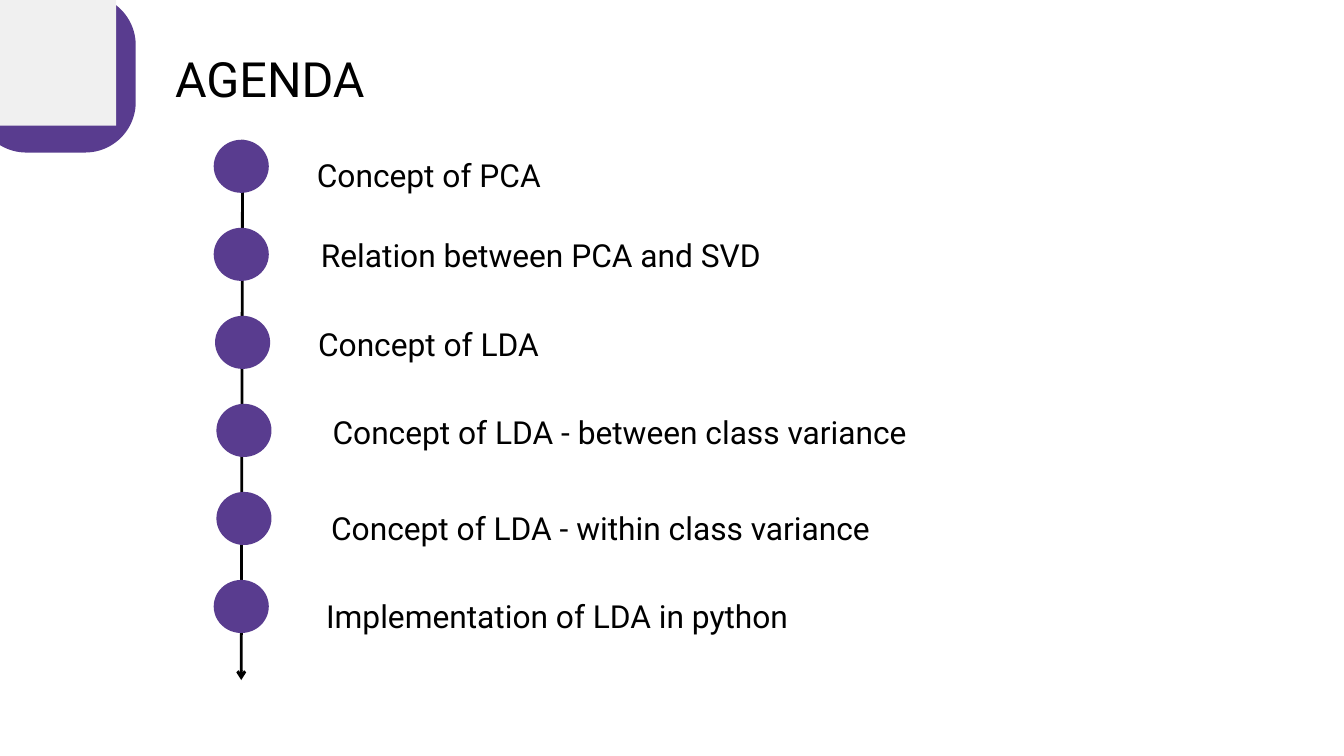
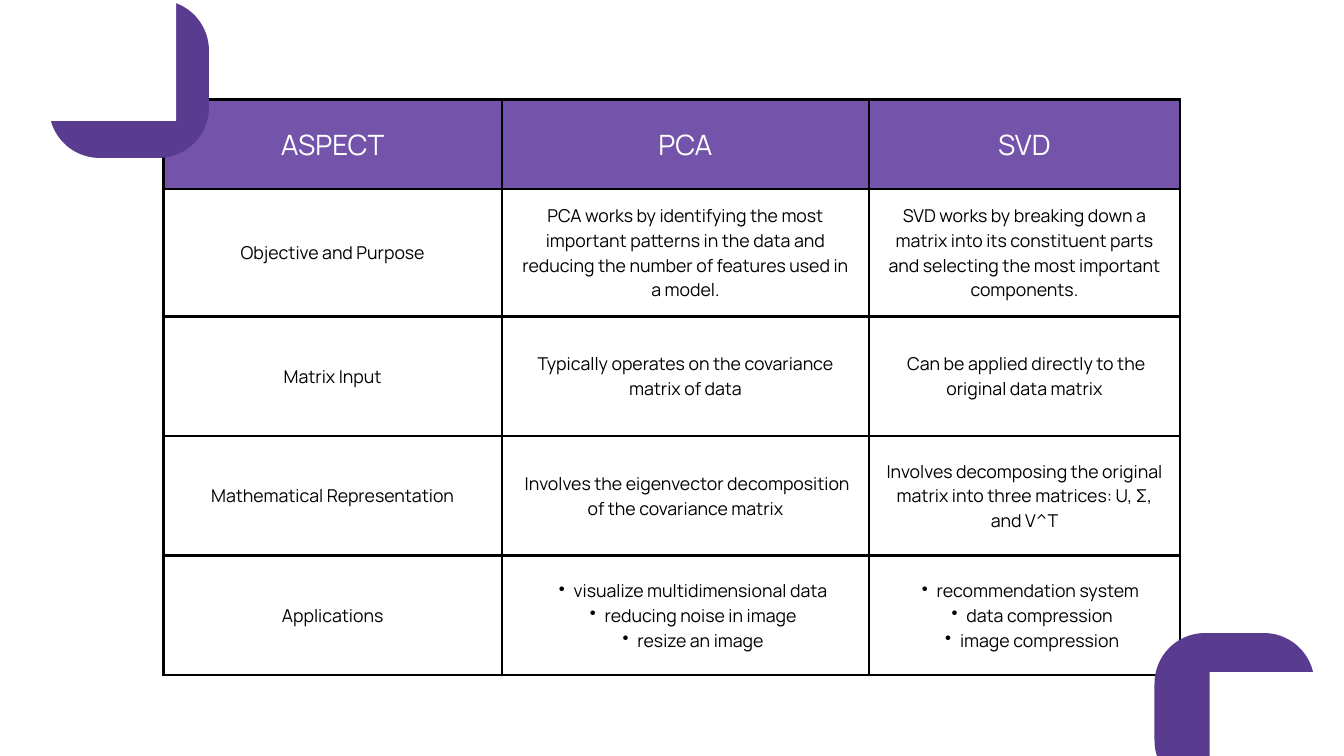
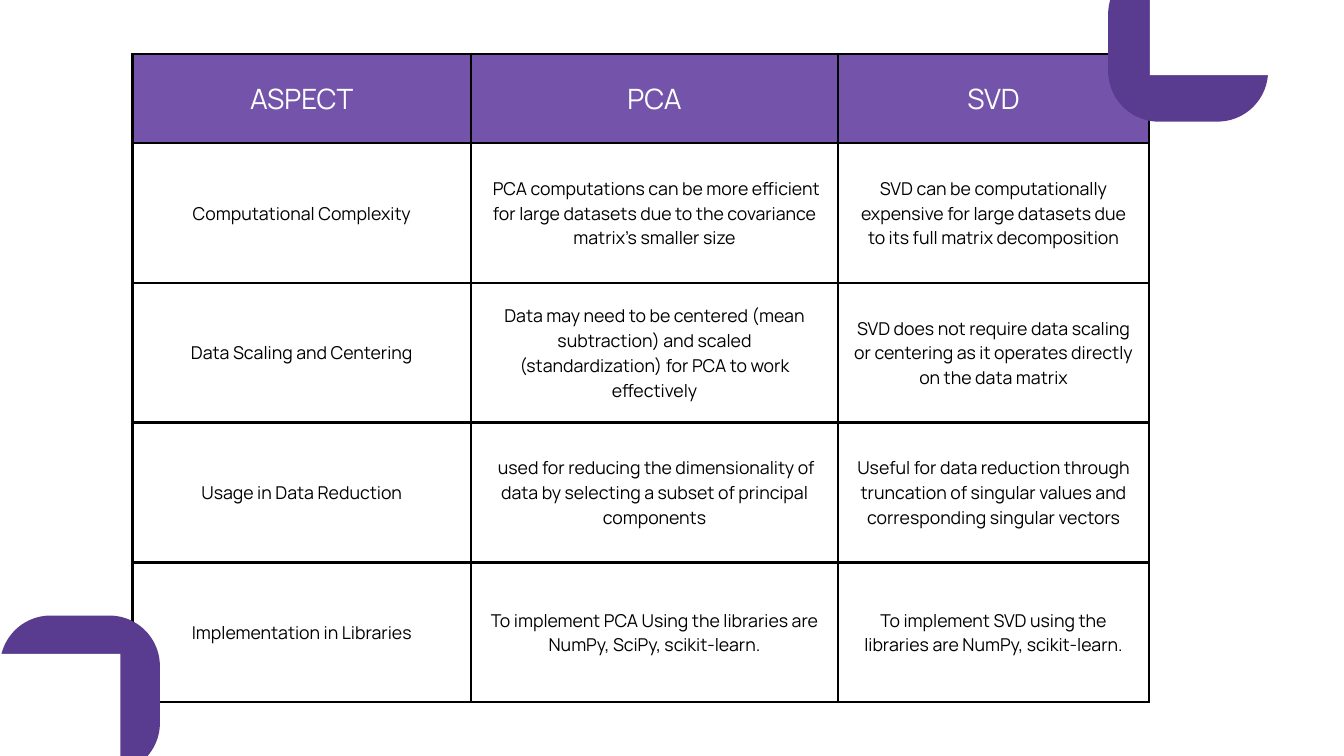
from dataclasses import dataclass

from lxml import etree
from pptx import Presentation
from pptx import util as u
from pptx.dml.color import RGBColor
from pptx.enum import shapes, text
from pptx.oxml import ns


@dataclass(frozen=True)
class Theme:
    purple: str = "593C8F"
    header: str = "7354AA"
    grey: str = "F0F0F0"
    white: str = "FFFFFF"
    black: str = "000000"
    heading_font: str = "Roboto"
    table_font: str = "Manrope"
    title_size: float = 52
    item_size: float = 34
    header_size: float = 30
    cell_size: float = 19
    leading: float = 1.4
    line_width: float = 3


THEME = Theme()
BADGE_SIZE = (2.38, 2.35)
MASK_SIZE = (2.55, 2.49)
DOT_SIZE = (0.82, 0.79)
DOT_TOP, DOT_STEP = 2.08, 1.31
COLUMN_WIDTHS = (5.04, 5.46, 4.63)
HEADER_HEIGHT = 1.33
HEADERS = ("ASPECT", "PCA", "SVD")

AGENDA = [
    ("Concept of PCA ", 3.18, (4.58, 2.23, 3.72, 0.63)),
    ("Relation between PCA and SVD", 3.18, (3.3, 3.41, 9.5, 0.63)),
    ("Concept of LDA ", 3.2, (4.58, 4.74, 3.71, 0.63)),
    ("Concept of LDA - between class variance ", 3.22, (4.58, 6.05, 9.4, 0.63)),
    ("Concept of LDA - within class variance ", 3.22, (4.52, 7.48, 8.95, 0.63)),
    ("Implementation of LDA in python ", 3.18, (4.5, 8.79, 7.7, 0.63)),
]

PURPOSE_ROWS = [
    ("Objective and Purpose",
     "PCA works by identifying the most important patterns in the data and "
     "reducing the number of features used in a model.",
     "SVD works by breaking down a matrix into its constituent parts and "
     "selecting the most important components."),
    ("Matrix Input",
     "Typically operates on the covariance matrix of data",
     " Can be applied directly to the original data matrix"),
    ("Mathematical Representation",
     " Involves the eigenvector decomposition of the covariance matrix",
     "Involves decomposing the original matrix into three matrices: U, Σ, and V^T"),
    ("Applications",
     ["visualize multidimensional data", "reducing noise in image", "resize an image"],
     ["recommendation system ", "data compression", "image compression"]),
]

PRACTICE_ROWS = [
    ("Computational Complexity",
     " PCA computations can be more efficient for large datasets due to the "
     "covariance matrix's smaller size",
     "SVD can be computationally expensive for large datasets due to its full "
     "matrix decomposition"),
    ("Data Scaling and Centering",
     "Data may need to be centered (mean subtraction) and scaled "
     "(standardization) for PCA to work effectively",
     "SVD does not require data scaling or centering as it operates directly "
     "on the data matrix"),
    ("Usage in Data Reduction",
     " used for reducing the dimensionality of data by selecting a subset of "
     "principal components",
     "Useful for data reduction through truncation of singular values and "
     "corresponding singular vectors"),
    ("Implementation in Libraries",
     "To implement PCA Using the libraries are NumPy, SciPy, scikit-learn.",
     "To implement SVD using the libraries are NumPy, scikit-learn."),
]


def apply_format(target, values):
    for name, value in values.items():
        setattr(target, name, value)


def inches(*lengths):
    return [u.Inches(length) for length in lengths]


def add_child(parent, tag, **attributes):
    return etree.SubElement(parent, ns.qn(tag), attributes)


def add_filled(slide, kind, box, color):
    shape = slide.shapes.add_shape(kind, *inches(*box))
    shape.shadow.inherit = False
    shape.fill.solid()
    shape.fill.fore_color.rgb = RGBColor.from_string(color)
    shape.line.fill.background()
    return shape


def add_badge(slide, left, top):
    kind = shapes.MSO_SHAPE.ROUNDED_RECTANGLE
    badge = add_filled(slide, kind, (left, top, *BADGE_SIZE), THEME.purple)
    badge.adjustments[0] = 0.32


def add_mask(slide, left, top, color=THEME.white):
    add_filled(slide, shapes.MSO_SHAPE.RECTANGLE, (left, top, *MASK_SIZE), color)


def add_arrow(slide, start, end):
    connector = slide.shapes.add_connector(
        shapes.MSO_CONNECTOR.STRAIGHT, *inches(*start, *end))
    connector.line.color.rgb = RGBColor.from_string(THEME.black)
    connector.line.width = u.Pt(THEME.line_width)
    add_child(connector.line._get_or_add_ln(), "a:tailEnd", type="arrow")
    add_child(connector._element.spPr, "a:effectLst")


def write_paragraph(paragraph, content, font, size, color):
    apply_format(paragraph, {
        "alignment": text.PP_ALIGN.CENTER,
        "line_spacing": u.Pt(size * THEME.leading),
    })
    run = paragraph.add_run()
    run.text = content
    apply_format(run.font, {"name": font, "size": u.Pt(size), "bold": False})
    run.font.color.rgb = RGBColor.from_string(color)


def add_label(slide, content, box, size):
    frame = slide.shapes.add_textbox(*inches(*box)).text_frame
    apply_format(frame, {
        "word_wrap": True,
        "auto_size": text.MSO_AUTO_SIZE.SHAPE_TO_FIT_TEXT,
        "margin_left": 0, "margin_right": 0, "margin_top": 0, "margin_bottom": 0,
    })
    write_paragraph(frame.paragraphs[0], content, THEME.heading_font, size, THEME.black)


def add_bullet(paragraph):
    paragraph.level = 1
    properties = paragraph._p.get_or_add_pPr()
    properties.set("marL", str(u.Inches(0.45)))
    properties.set("indent", str(u.Inches(-0.22)))
    add_child(properties, "a:buChar", char="•")


def add_borders(cell):
    properties = cell._tc.get_or_add_tcPr()
    for side in ("a:lnL", "a:lnR", "a:lnT", "a:lnB"):
        line = add_child(properties, side, w=str(u.Pt(THEME.line_width)))
        add_child(add_child(line, "a:solidFill"), "a:srgbClr", val=THEME.black)


def fill_cell(cell, content, is_header):
    add_borders(cell)
    margin = u.Inches(0.21)
    apply_format(cell, {
        "vertical_anchor": text.MSO_ANCHOR.MIDDLE,
        "margin_left": margin, "margin_right": margin,
        "margin_top": margin, "margin_bottom": margin,
    })
    if is_header:
        cell.fill.solid()
        cell.fill.fore_color.rgb = RGBColor.from_string(THEME.header)
        size, color = THEME.header_size, THEME.white
    else:
        cell.fill.background()
        size, color = THEME.cell_size, THEME.black
    bulleted = isinstance(content, list)
    frame = cell.text_frame
    for index, item in enumerate(content if bulleted else [content]):
        paragraph = frame.add_paragraph() if index else frame.paragraphs[0]
        if bulleted:
            add_bullet(paragraph)
        write_paragraph(paragraph, item, THEME.table_font, size, color)


def add_comparison(slide, left, top, rows, row_heights):
    heights = [HEADER_HEIGHT, *row_heights]
    table = slide.shapes.add_table(
        len(heights), len(HEADERS),
        *inches(left, top, sum(COLUMN_WIDTHS), sum(heights))).table
    apply_format(table, {"first_row": False, "horz_banding": False})
    for column, width in zip(table.columns, COLUMN_WIDTHS):
        column.width = u.Inches(width)
    for row_index, contents in enumerate([HEADERS, *rows]):
        table.rows[row_index].height = u.Inches(heights[row_index])
        for column_index, content in enumerate(contents):
            fill_cell(table.cell(row_index, column_index), content, row_index == 0)


def add_blank_slide(presentation):
    return presentation.slides.add_slide(presentation.slide_layouts[6])


def build_agenda(presentation):
    slide = add_blank_slide(presentation)
    add_badge(slide, -0.36, -0.08)
    add_mask(slide, -0.82, -0.62, THEME.grey)
    add_arrow(slide, (3.61, 2.08), (3.59, 10.12))
    add_label(slide, "AGENDA ", (2.47, 0.59, 3.27, 0.97), THEME.title_size)
    for index, (topic, dot_left, label_box) in enumerate(AGENDA):
        dot_box = (dot_left, DOT_TOP + index * DOT_STEP, *DOT_SIZE)
        add_filled(slide, shapes.MSO_SHAPE.OVAL, dot_box, THEME.purple)
        add_label(slide, topic, label_box, THEME.item_size)


def build_purpose(presentation):
    slide = add_blank_slide(presentation)
    add_comparison(slide, 2.43, 1.48, PURPOSE_ROWS, [1.72] + [1.78] * 3)
    add_badge(slide, 0.73, 0)
    add_mask(slide, 0.07, -0.69)
    add_badge(slide, 17.18, 9.42)
    add_mask(slide, 18, 10)


def build_practice(presentation):
    slide = add_blank_slide(presentation)
    add_comparison(slide, 1.97, 0.8, PRACTICE_ROWS, [2.08] * 4)
    add_badge(slide, 0, 9.16)
    add_badge(slide, 16.49, -0.54)
    add_mask(slide, -0.76, 9.73)
    add_mask(slide, 17.11, -1.37)


def main():
    presentation = Presentation()
    apply_format(presentation, {
        "slide_width": u.Inches(20), "slide_height": u.Inches(11.25),
    })
    build_agenda(presentation)
    build_purpose(presentation)
    build_practice(presentation)
    presentation.save("out.pptx")


if __name__ == "__main__":
    main()
